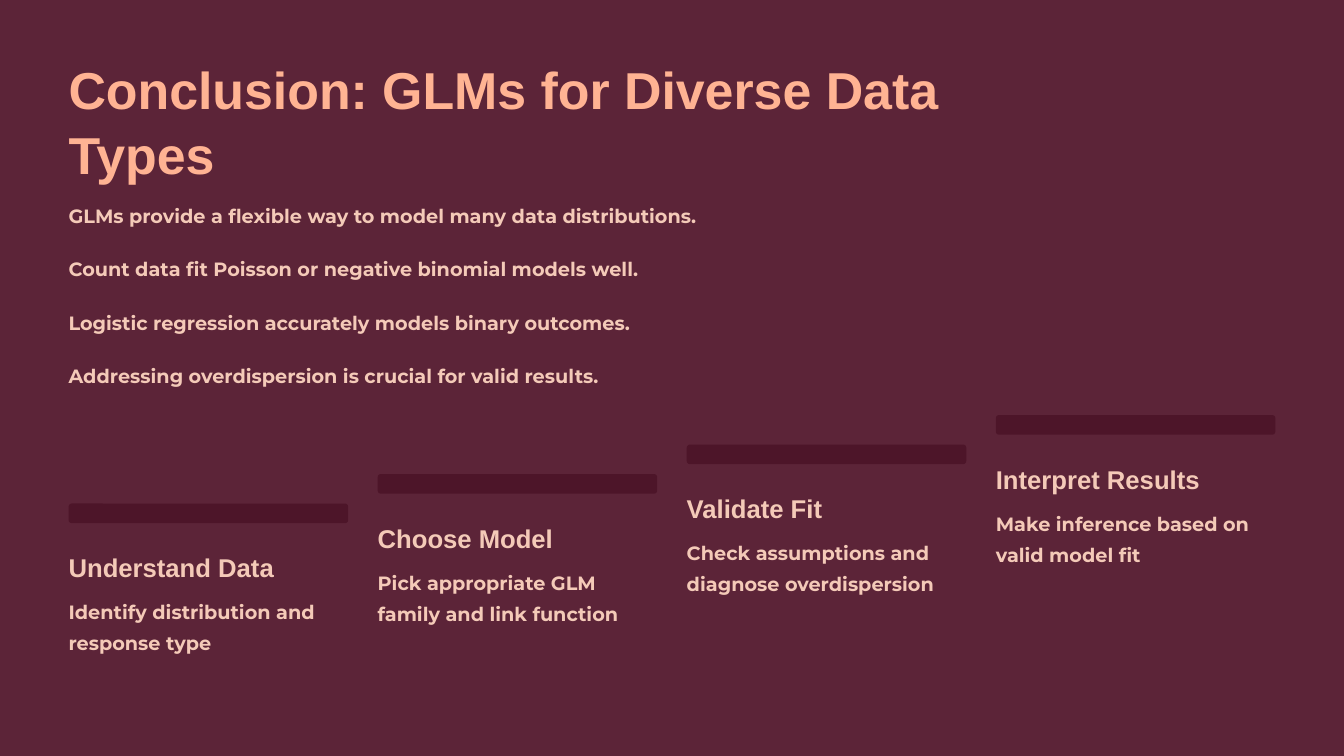
from dataclasses import dataclass

from pptx import Presentation
from pptx.dml.color import RGBColor
from pptx.enum.shapes import MSO_SHAPE as Shape
from pptx.util import Pt


@dataclass(frozen=True)
class Theme:
    backdrop = RGBColor.from_string("421424")
    panel = RGBColor.from_string("5C2438")
    bar = RGBColor.from_string("4D1529")
    title = {"name": "Arial", "size": Pt(55.6), "color": RGBColor.from_string("FFB393")}
    heading = {"name": "Arial", "size": Pt(27.5), "color": RGBColor.from_string("F4CAB8")}
    body = {"name": "Montserrat", "size": Pt(20.6), "color": RGBColor.from_string("F4CAB8")}
    title_line, heading_line, body_line = Pt(70), Pt(35), Pt(33.1)


THEME = Theme()
WIDTH, HEIGHT = 1440, 810
LEFT, CONTENT_WIDTH = 73.5, 1293

TITLE = "Conclusion: GLMs for Diverse Data Types"
STATEMENTS = [
    "GLMs provide a flexible way to model many data distributions.",
    "Count data fit Poisson or negative binomial models well.",
    "Logistic regression accurately models binary outcomes.",
    "Addressing overdispersion is crucial for valid results.",
]
STEPS = [
    ("Understand Data", "Identify distribution and response type"),
    ("Choose Model", "Pick appropriate GLM family and link function"),
    ("Validate Fit", "Check assumptions and diagnose overdispersion"),
    ("Interpret Results", "Make inference based on valid model fit"),
]


def add_text(slide, box, text, style, line_spacing):
    shape = slide.shapes.add_textbox(*map(Pt, box))
    frame = shape.text_frame
    settings = {"word_wrap": True, "margin_left": 0, "margin_top": 0,
                "margin_right": 0, "margin_bottom": 0}
    for name, value in settings.items():
        setattr(frame, name, value)
    paragraph = frame.paragraphs[0]
    paragraph.line_spacing = line_spacing
    run = paragraph.add_run()
    run.text = text
    for name, value in {"name": style["name"], "size": style["size"], "bold": True}.items():
        setattr(run.font, name, value)
    run.font.color.rgb = style["color"]


def add_block(slide, kind, box, color):
    shape = slide.shapes.add_shape(kind, *map(Pt, box))
    shape.shadow.inherit = False
    shape.fill.solid()
    shape.fill.fore_color.rgb = color
    shape.line.fill.background()
    return shape


def add_backdrop(slide, box):
    fill = slide.background.fill
    fill.solid()
    fill.fore_color.rgb = THEME.backdrop
    add_block(slide, Shape.RECTANGLE, box, THEME.panel)


def add_statements(slide, box):
    left, top, width, height = box
    pitch = height / len(STATEMENTS)
    for index, text in enumerate(STATEMENTS):
        add_text(slide, (left, top + index * pitch, width, 39),
                 text, THEME.body, THEME.body_line)


def add_step(slide, box, heading, detail):
    left, top, width, height = box
    bar = add_block(slide, Shape.ROUNDED_RECTANGLE, (left, top, width, 21), THEME.bar)
    bar.adjustments[0] = 0.16
    add_text(slide, (left, top + 50.2, width, 38), heading, THEME.heading, THEME.heading_line)
    add_text(slide, (left, top + 95.5, width, height - 95.5),
             detail, THEME.body, THEME.body_line)


def add_staircase(slide, box, gap=31.6, rise=31.6):
    """Equal columns, each one rise higher than the column before."""
    left, top, width, height = box
    last = len(STEPS) - 1
    column = (width - last * gap) / len(STEPS)
    for index, (heading, detail) in enumerate(STEPS):
        step_box = (left + index * (column + gap), top + (last - index) * rise,
                    column, height - last * rise)
        add_step(slide, step_box, heading, detail)


def build_conclusion(presentation):
    slide = presentation.slides.add_slide(presentation.slide_layouts[6])
    # Backdrop
    add_backdrop(slide, (0, 0, WIDTH, HEIGHT))
    # Title
    add_text(slide, (LEFT, 58.3, 1094.4, 114.5), TITLE, THEME.title, THEME.title_line)
    # Key statements
    add_statements(slide, (LEFT, 210.1, CONTENT_WIDTH, 229.4))
    # Rising steps
    add_staircase(slide, (LEFT, 444.7, CONTENT_WIDTH, 263))


def main():
    presentation = Presentation()
    presentation.slide_width, presentation.slide_height = Pt(WIDTH), Pt(HEIGHT)
    build_conclusion(presentation)
    presentation.save("out.pptx")


if __name__ == "__main__":
    main()
